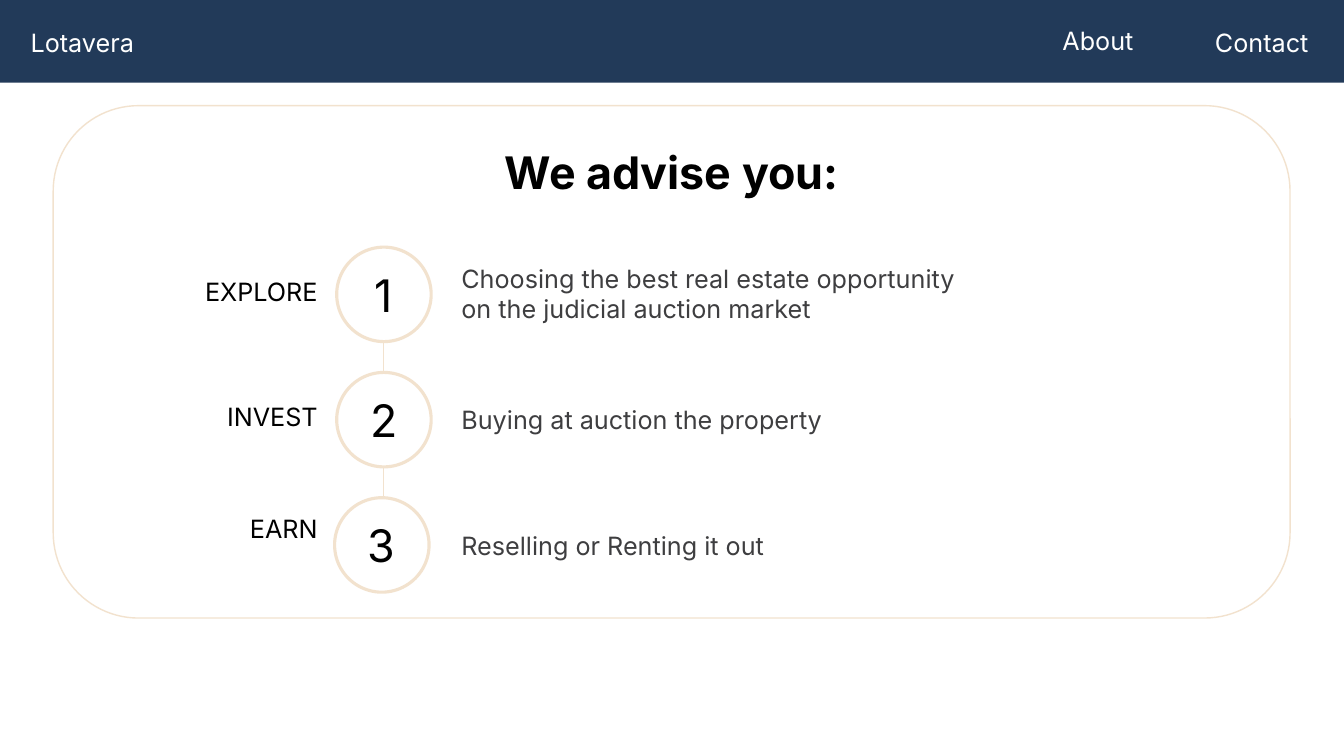
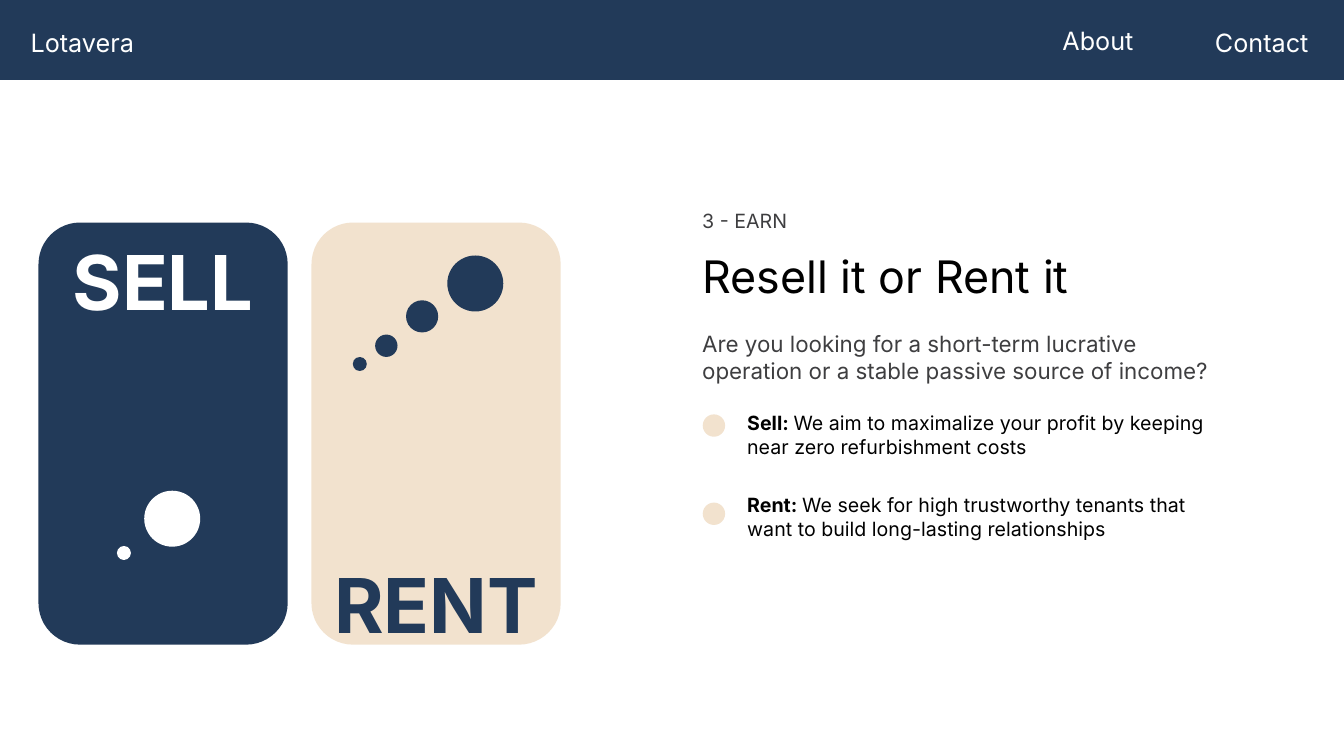
from dataclasses import dataclass

from lxml import etree
from pptx import Presentation
from pptx.dml.color import RGBColor
from pptx.enum import shapes as kinds, text as txt
from pptx.oxml import ns
from pptx.util import Pt

NAVY = RGBColor(0x22, 0x3A, 0x59)
SAND = RGBColor(0xF2, 0xE2, 0xCE)
GREY = RGBColor(0x3E, 0x3E, 0x40)
BLACK = RGBColor(0, 0, 0)
WHITE = RGBColor(0xFF, 0xFF, 0xFF)

FONT = "Inter"
SLIDE_W, SLIDE_H = 960, 540
NAV_W, NAV_H = 117.5, 60.5
TITLE_SIZE = 32

LEFT, CENTER, RIGHT = txt.PP_ALIGN.LEFT, txt.PP_ALIGN.CENTER, txt.PP_ALIGN.RIGHT
TOP, MIDDLE = txt.MSO_ANCHOR.TOP, txt.MSO_ANCHOR.MIDDLE
RECT = kinds.MSO_SHAPE.RECTANGLE
ROUNDED = kinds.MSO_SHAPE.ROUNDED_RECTANGLE
OVAL = kinds.MSO_SHAPE.OVAL


@dataclass(frozen=True)
class Box:
    left: float
    top: float
    width: float
    height: float

    def lengths(self) -> tuple:
        return Pt(self.left), Pt(self.top), Pt(self.width), Pt(self.height)


@dataclass(frozen=True)
class Style:
    size: float
    color: RGBColor = BLACK
    align: txt.PP_ALIGN = LEFT
    anchor: txt.MSO_ANCHOR = TOP
    bold: bool = False


@dataclass(frozen=True)
class Step:
    label: str
    advice: str
    label_top: float
    advice_top: float
    circle_left: float


@dataclass(frozen=True)
class Card:
    word: str
    left: float
    word_top: float
    fill: RGBColor
    ink: RGBColor
    bubbles: tuple  # (left, top, diameter) of each


@dataclass(frozen=True)
class Option:
    name: str
    promise: str
    dot_top: float


STEPS = (
    Step("EXPLORE", "Choosing the best real estate opportunity on the judicial auction market",
         193.5, 184.5, 240.5),
    Step("INVEST", "Buying at auction the property", 283, 285, 240.5),
    Step("EARN", "Reselling or Renting it out", 363, 375, 239),
)
CARDS = (
    Card("SELL", 27.5, 174, NAVY, WHITE, ((83.5, 390, 10), (103, 350.5, 40))),
    Card("RENT", 222.5, 405, SAND, NAVY,
         ((252, 255, 10), (268, 239, 16), (290, 214.5, 23), (319.5, 182.5, 40))),
)
OPTIONS = (
    Option("Sell: ", "We aim to maximalize your profit by keeping near zero refurbishment costs", 296),
    Option("Rent: ", "We seek for high trustworthy tenants that want to build long-lasting relationships", 359),
)


def add_run(paragraph, words: str, style: Style, bold: bool) -> None:
    run = paragraph.add_run()
    run.text = words
    run.font.name = FONT
    run.font.size = Pt(style.size)
    run.font.bold = bold
    run.font.color.rgb = style.color


def write(shape, words: str, style: Style) -> None:
    frame = shape.text_frame
    frame.word_wrap = True
    frame.auto_size = txt.MSO_AUTO_SIZE.NONE
    frame.vertical_anchor = style.anchor
    paragraph = frame.paragraphs[0]
    paragraph.alignment = style.align
    add_run(paragraph, words, style, style.bold)


def add_text(slide, box: Box, words: str, style: Style) -> None:
    write(slide.shapes.add_textbox(*box.lengths()), words, style)


def place(placeholder, box: Box) -> None:
    placeholder.left, placeholder.top, placeholder.width, placeholder.height = box.lengths()


def add_title(slide, box: Box, words: str, align: txt.PP_ALIGN, bold: bool) -> None:
    place(slide.shapes.title, box)
    write(slide.shapes.title, words, Style(TITLE_SIZE, align=align, bold=bold))


def add_figure(slide, kind, box: Box, fill: RGBColor | None = None,
               line: RGBColor | None = None, weight: float = 1):
    """Add a flat preset shape; without a fill or line colour that part is off."""
    figure = slide.shapes.add_shape(kind, *box.lengths())
    figure.shadow.inherit = False
    if fill is None:
        figure.fill.background()
    else:
        figure.fill.solid()
        figure.fill.fore_color.rgb = fill
    if line is None:
        figure.line.fill.background()
    else:
        figure.line.color.rgb = line
        figure.line.width = Pt(weight)
    return figure


def add_dot(slide, left: float, top: float, diameter: float, fill: RGBColor) -> None:
    add_figure(slide, OVAL, Box(left, top, diameter, diameter), fill)


def add_nav_bar(slide, height: float) -> None:
    add_figure(slide, RECT, Box(0, 0, SLIDE_W, height), NAVY)
    nav = Style(18, WHITE, CENTER, MIDDLE)
    for entry, left, top in (("Lotavera", 0, 0), ("About", 725.5, -1.5), ("Contact", 842.5, 0)):
        add_text(slide, Box(left, top, NAV_W, NAV_H), entry, nav)


def add_step_line(slide, x: float, top: float, bottom: float) -> None:
    line = slide.shapes.add_connector(
        kinds.MSO_CONNECTOR.STRAIGHT, Pt(x), Pt(top), Pt(x), Pt(bottom))
    line.line.color.rgb = SAND
    line.line.width = Pt(0.5)
    etree.SubElement(line._element.spPr, ns.qn("a:effectLst"))


def build_advice(slide) -> None:
    add_nav_bar(slide, 59)
    add_figure(slide, ROUNDED, Box(38, 75.5, 883.5, 366), line=SAND)
    add_title(slide, Box(0, 99.5, SLIDE_W, 46), "We advise you:", CENTER, True)

    add_step_line(slide, 274, 218, 388)
    first_top, pitch, diameter = 176.5, 89.5, 67.5
    for index, step in enumerate(STEPS):
        circle = add_figure(
            slide, OVAL, Box(step.circle_left, first_top + index * pitch, diameter, diameter),
            WHITE, SAND, 2.25)
        write(circle, str(index + 1), Style(32, align=CENTER, anchor=MIDDLE))
        add_text(slide, Box(137.5, step.label_top, 96.5, 29), step.label, Style(18, align=RIGHT))
        add_text(slide, Box(322.5, step.advice_top, 380, 51), step.advice, Style(18, GREY))


def add_options(slide) -> None:
    body = slide.placeholders[1]
    place(body, Box(526.5, 290, 355.5, 101))
    frame = body.text_frame
    frame.auto_size = txt.MSO_AUTO_SIZE.NONE
    style = Style(14)
    for index, option in enumerate(OPTIONS):
        paragraph = frame.add_paragraph() if index else frame.paragraphs[0]
        paragraph.space_before = Pt(25 if index else 0)
        properties = paragraph._p.get_or_add_pPr()
        properties.set("marL", "0")
        properties.set("indent", "0")
        etree.SubElement(properties, ns.qn("a:buNone"))
        add_run(paragraph, option.name, style, True)
        add_run(paragraph, option.promise, style, False)
        add_dot(slide, 502, option.dot_top, 16, SAND)


def build_earn(slide) -> None:
    add_nav_bar(slide, 57)
    text_left = 494.5
    add_text(slide, Box(text_left, 145.5, 437, 24.5), "3 - EARN", Style(14, GREY))
    add_title(slide, Box(text_left, 174, 387.5, 46), "Resell it or Rent it", LEFT, False)
    add_text(slide, Box(text_left, 232.5, 387.5, 46),
             "Are you looking for a short-term lucrative operation or a stable passive source of income?",
             Style(16, GREY))
    add_options(slide)

    card_width = 178
    for card in CARDS:
        add_figure(slide, ROUNDED, Box(card.left, 159, card_width, 301.5), card.fill)
        add_text(slide, Box(card.left, card.word_top, card_width, 52.5), card.word,
                 Style(54, card.ink, CENTER, MIDDLE, True))
        for left, top, diameter in card.bubbles:
            add_dot(slide, left, top, diameter, card.ink)


def main() -> None:
    deck = Presentation()
    deck.slide_width, deck.slide_height = Pt(SLIDE_W), Pt(SLIDE_H)
    title_and_body, title_only = deck.slide_layouts[1], deck.slide_layouts[5]
    build_advice(deck.slides.add_slide(title_only))
    build_earn(deck.slides.add_slide(title_and_body))
    deck.save("out.pptx")


if __name__ == "__main__":
    main()
